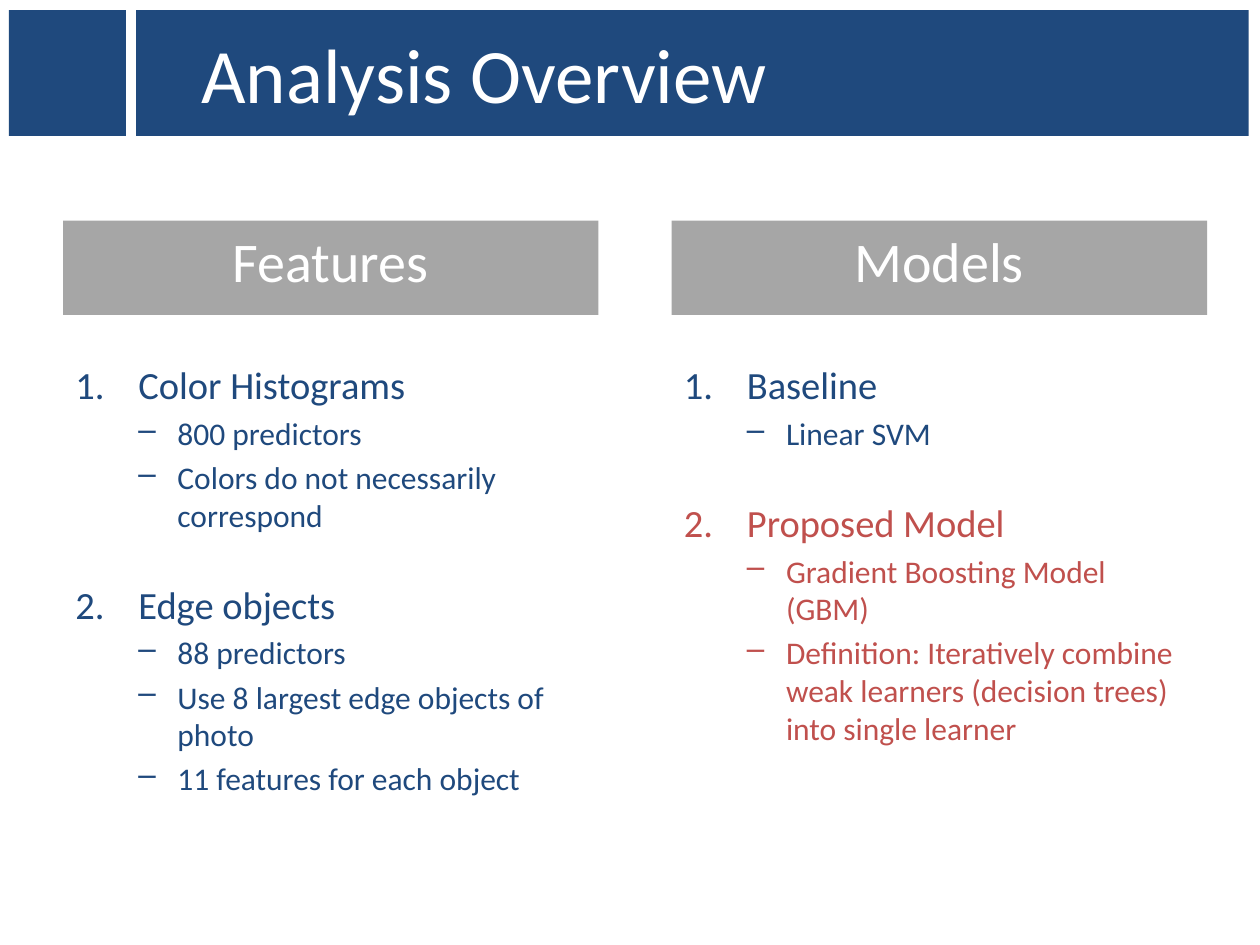
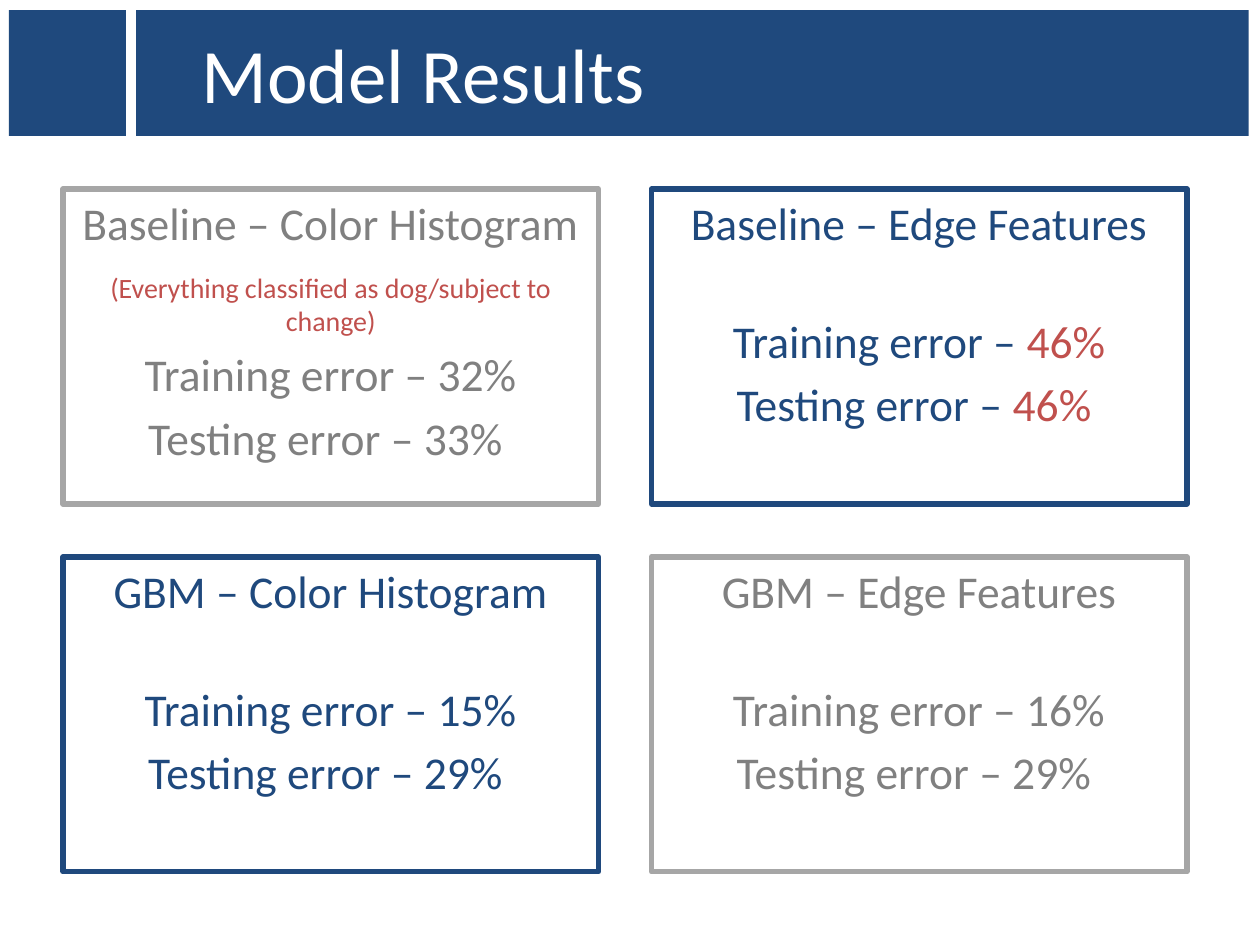
from dataclasses import dataclass
from typing import Optional

from lxml import etree
from pptx import Presentation
from pptx import util as u
from pptx.dml.color import RGBColor
from pptx.enum import shapes, text
from pptx.oxml.ns import qn

COLORS = {"navy": "1F497D", "silver": "A6A6A6", "gray": "808080",
          "red": "C0504D", "white": "FFFFFF"}
FONT = "Calibri"
PANEL_WIDTH = 4.25
LEFT_EDGE = 0.5
SPACING_RATIO = 0.2  # space before a paragraph, relative to its text size


@dataclass(frozen=True)
class Box:
    left: float
    top: float
    width: float
    height: float

    def lengths(self) -> list:
        return [u.Inches(v) for v in (self.left, self.top, self.width, self.height)]


@dataclass(frozen=True)
class Topic:
    heading: str
    points: tuple[str, ...]
    color: str = "navy"


@dataclass(frozen=True)
class Column:
    heading: str
    topics: tuple[Topic, ...]


@dataclass(frozen=True)
class Result:
    name: str
    training: str
    testing: str
    color: str
    border: str
    error_color: Optional[str] = None
    remark: str = ""


BANDS = (Box(0.07, 0.08, 0.93, 1), Box(1.08, 0.08, 8.83, 1))
TITLE = Box(1.5, 0, 8.42, 1.15)

COLUMNS = (
    Column("Features", (
        Topic("Color Histograms",
              ("800 predictors", "Colors do not necessarily correspond")),
        Topic("Edge objects",
              ("88 predictors", "Use 8 largest edge objects of photo",
               "11 features for each object")),
    )),
    Column("Models", (
        Topic("Baseline", ("Linear SVM",)),
        Topic("Proposed Model",
              ("Gradient Boosting Model (GBM)",
               "Definition: Iteratively combine weak learners (decision trees) "
               "into single learner"), "red"),
    )),
)

RESULTS = (
    (Result("Baseline – Color Histogram", "32%", "33% ", "gray", "silver",
            remark="(Everything classified as dog/subject to change)"),
     Result("Baseline – Edge Features", "46%", "46% ", "navy", "navy", "red")),
    (Result("GBM – Color Histogram", "15%", "29% ", "navy", "navy"),
     Result("GBM – Edge Features", "16%", "29% ", "gray", "silver")),
)


def rgb(color: str) -> RGBColor:
    return RGBColor.from_string(COLORS[color])


def add_rectangle(slide, box: Box, fill: Optional[str] = None,
                  border: Optional[str] = None):
    rectangle = slide.shapes.add_shape(shapes.MSO_SHAPE.RECTANGLE, *box.lengths())
    rectangle.shadow.inherit = False
    if fill:
        rectangle.fill.solid()
        rectangle.fill.fore_color.rgb = rgb(fill)
    else:
        rectangle.fill.background()
    if border:
        rectangle.line.color.rgb = rgb(border)
        rectangle.line.width = u.Pt(3)
        etree.SubElement(rectangle.line._get_or_add_ln(), qn("a:round"))
    else:
        rectangle.line.fill.background()
    return prepare_frame(rectangle)


def add_text_box(slide, box: Box):
    return prepare_frame(slide.shapes.add_textbox(*box.lengths()))


def prepare_frame(shape):
    frame = shape.text_frame
    frame.word_wrap = True
    frame.vertical_anchor = text.MSO_ANCHOR.TOP
    return frame


def add_paragraph(frame, runs: list[tuple[str, str]], size: float,
                  centered: bool = False, before: Optional[float] = None):
    """Append (words, color) runs; the first call fills the frame's own paragraph."""
    first = not frame.paragraphs[0].runs
    paragraph = frame.paragraphs[0] if first else frame.add_paragraph()
    paragraph.alignment = text.PP_ALIGN.CENTER if centered else text.PP_ALIGN.LEFT
    if not first:
        paragraph.space_before = u.Pt(size * SPACING_RATIO if before is None else before)
    for words, color in runs:
        run = paragraph.add_run()
        run.text = words
        run.font.name = FONT
        run.font.size = u.Pt(size)
        run.font.color.rgb = rgb(color)
    return paragraph


def set_marker(paragraph, tag: str, indent: float, hang: float, **attributes: str) -> None:
    properties = paragraph._p.get_or_add_pPr()
    properties.set("marL", str(u.Inches(indent)))
    properties.set("indent", str(-u.Inches(hang)))
    etree.SubElement(properties, qn(tag), attributes)


def add_titled_slide(deck, title: str):
    slide = deck.slides.add_slide(deck.slide_layouts[6])
    for band in BANDS:
        add_rectangle(slide, band, fill="navy")
    frame = add_text_box(slide, TITLE)
    frame.vertical_anchor = text.MSO_ANCHOR.MIDDLE
    add_paragraph(frame, [(title, "white")], 44)
    return slide


def add_column(slide, column: Column, left: float) -> None:
    header = add_rectangle(slide, Box(left, 1.75, PANEL_WIDTH, 0.75), fill="silver")
    add_paragraph(header, [(column.heading, "white")], 32, centered=True)
    outline = add_text_box(slide, Box(left, 2.82, PANEL_WIDTH, 4.27))
    for topic in column.topics:
        heading = add_paragraph(outline, [(topic.heading, topic.color)], 22, before=27)
        set_marker(heading, "a:buAutoNum", 0.5, 0.5, type="arabicPeriod")
        for words in topic.points:
            point = add_paragraph(outline, [(words, topic.color)], 18)
            point.level = 1
            set_marker(point, "a:buChar", 0.81, 0.31, char="–")


def add_result(slide, result: Result, left: float, top: float) -> None:
    frame = add_rectangle(slide, Box(left, top, PANEL_WIDTH, 2.5), border=result.border)
    add_paragraph(frame, [(result.name, result.color)], 26, centered=True)
    if result.remark:
        add_paragraph(frame, [(result.remark, "red")], 16, centered=True, before=11.7)
    training_gap = None if result.remark else 36
    for label, value, gap in (("Training error – ", result.training, training_gap),
                              ("Testing error – ", result.testing, None)):
        if result.error_color:
            runs = [(label, result.color), (value, result.error_color)]
        else:
            runs = [(label + value, result.color)]
        add_paragraph(frame, runs, 26, centered=True, before=gap)


def main() -> None:
    deck = Presentation()
    deck.slide_width, deck.slide_height = u.Inches(10), u.Inches(7.5)

    overview = add_titled_slide(deck, "Analysis Overview")
    for index, column in enumerate(COLUMNS):
        add_column(overview, column, LEFT_EDGE + index * 4.83)

    model_results = add_titled_slide(deck, "Model Results")
    for row, results in enumerate(RESULTS):
        for index, result in enumerate(results):
            add_result(model_results, result, LEFT_EDGE + index * 4.67, 1.5 + row * 2.92)

    deck.save("out.pptx")


if __name__ == "__main__":
    main()
